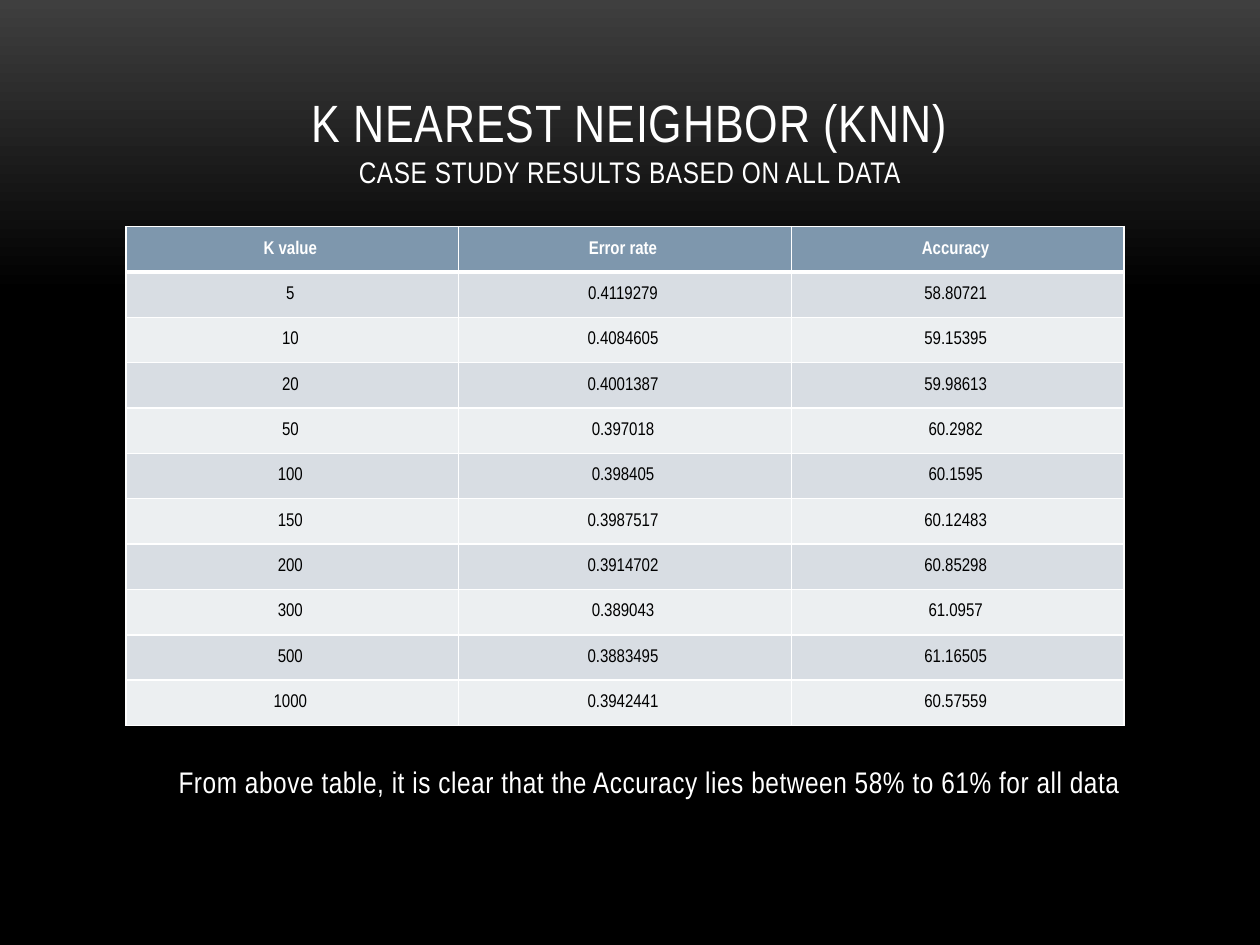
from lxml.etree import SubElement as Sub
from pptx import Presentation as Deck
from pptx.dml.color import RGBColor as Rgb
from pptx.enum.text import MSO_ANCHOR as Anchor, MSO_AUTO_SIZE as Fit, PP_ALIGN as Align
from pptx.oxml.ns import qn
from pptx.util import Cm, Pt

FONT = "Arial Narrow"
WHITE, BLACK, HEAD = "FFFFFF", "000000", "7E97AD"
BANDS = ("D8DDE3", "ECEFF1")
ROWS = [
    ("K value", "Error rate", "Accuracy"),
    ("5", "0.4119279", "58.80721"),
    ("10", "0.4084605", "59.15395"),
    ("20", "0.4001387", "59.98613"),
    ("50", "0.397018", "60.2982"),
    ("100", "0.398405", "60.1595"),
    ("150", "0.3987517", "60.12483"),
    ("200", "0.3914702", "60.85298"),
    ("300", "0.389043", "61.0957"),
    ("500", "0.3883495", "61.16505"),
    ("1000", "0.3942441", "60.57559"),
]


def tint(code):
    return Rgb.from_string(code)


def add_run(para, text, size, color=WHITE, bold=False, space=0):
    """Add one run; space is the letter spacing in points."""
    run = para.add_run()
    run.text = text
    font = run.font
    font.name, font.size, font.bold = FONT, Pt(size), bold
    font.color.rgb = tint(color)
    if space:
        run._r.get_or_add_rPr().set("spc", str(round(space * 100)))


def set_frame(shape, anchor):
    """Prepare a text frame and return its centred first paragraph."""
    frame = shape.text_frame
    frame.word_wrap = True
    frame.auto_size = Fit.NONE
    frame.vertical_anchor = anchor
    para = frame.paragraphs[0]
    para.alignment = Align.CENTER
    return para


def set_edge(cell, widths):
    """Draw white borders; widths map a side (L, R, T, B) to points."""
    props = cell._tc.get_or_add_tcPr()
    for spot, side in enumerate("LRTB"):
        line = Sub(props, qn(f"a:ln{side}"), w=str(Pt(widths.get(side, 1))))
        fill = Sub(line, qn("a:solidFill"))
        Sub(fill, qn("a:srgbClr"), val=WHITE)
        props.insert(spot, line)


def paint_back(slide):
    fill = slide.background.fill
    fill.gradient()
    fill.gradient_angle = 270
    for stop, (place, color) in zip(fill.gradient_stops, ((0, "3F3F3F"), (0.31, BLACK))):
        stop.position = place
        stop.color.rgb = tint(color)


def add_title(slide):
    title = slide.shapes.title
    title.left, title.top = Cm(1.7), Cm(0.76)
    title.width, title.height = Cm(22), Cm(3.18)
    para = set_frame(title, Anchor.BOTTOM)
    add_run(para, "K NEAREST NEIGHBOR (KNN)", 30, space=0.5)
    para.add_line_break()
    add_run(para, "CASE STUDY RESULTS BASED ON ALL DATA", 17, space=0.3)


def fill_cell(cell, text, row):
    head = row == 0
    cell.fill.solid()
    cell.fill.fore_color.rgb = tint(HEAD if head else BANDS[(row - 1) % 2])
    cell.vertical_anchor = Anchor.MIDDLE
    cell.margin_left, cell.margin_right = Cm(0.25), Cm(0.33)
    para = cell.text_frame.paragraphs[0]
    para.alignment = Align.CENTER
    add_run(para, text, 10.5, WHITE if head else BLACK, bold=head)
    # A thick rule parts the header from the body
    set_edge(cell, {0: {"B": 3}, 1: {"T": 3}}.get(row, {}))


def add_grid(slide):
    frame = slide.shapes.add_table(len(ROWS), len(ROWS[0]), Cm(2.54), Cm(4.57),
                                   Cm(20.12), Cm(10.06))
    table = frame.table
    for row, texts in enumerate(ROWS):
        for col, text in enumerate(texts):
            fill_cell(table.cell(row, col), text, row)


def add_note(slide):
    box = slide.shapes.add_textbox(Cm(2.1), Cm(15), Cm(22), Cm(1.5))
    para = set_frame(box, Anchor.MIDDLE)
    add_run(para, "From above table, it is clear that the Accuracy lies "
                  "between 58% to 61% for all data", 17, space=0.3)


def main():
    deck = Deck()
    deck.slide_width, deck.slide_height = Cm(25.4), Cm(19.05)
    slide = deck.slides.add_slide(deck.slide_layouts[5])
    paint_back(slide)
    add_title(slide)
    add_grid(slide)
    add_note(slide)
    deck.save("out.pptx")


if __name__ == "__main__":
    main()
